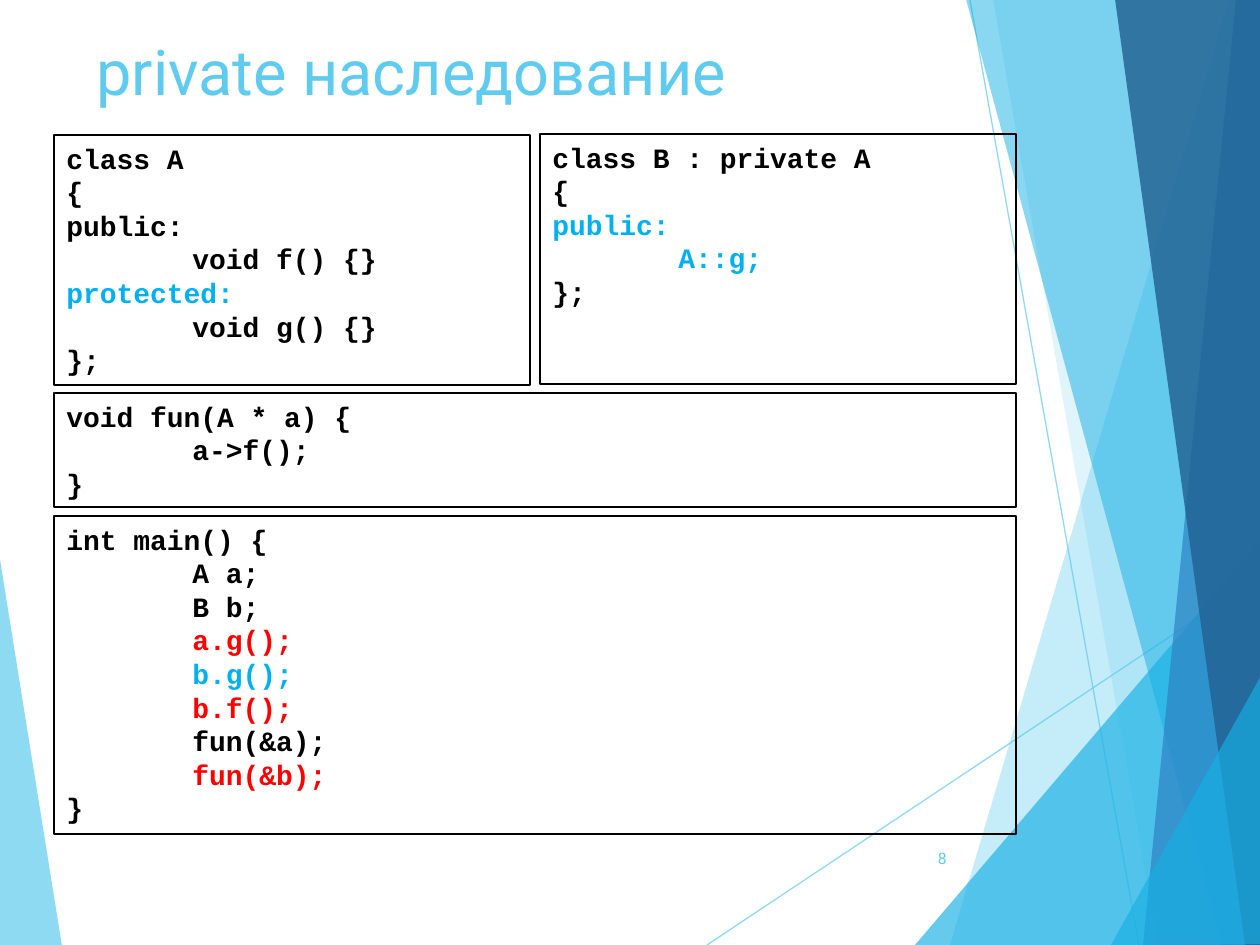
from lxml.etree import SubElement
from pptx import Presentation
from pptx.dml.color import RGBColor
from pptx.enum.shapes import MSO_CONNECTOR, MSO_SHAPE
from pptx.enum.text import MSO_ANCHOR, MSO_AUTO_SIZE, PP_ALIGN
from pptx.oxml.ns import qn
from pptx.util import Pt

PX = 914400 / 126
WIDTH, HEIGHT = 1260, 945
TAB = 126

THEME = {
    "sky": "5FCBEF", "cyan": "17B0E4", "blue": "2E83C3", "navy": "226292",
    "code": "000000", "good": "00B0F0", "bad": "FF0000",
    "title_font": "Roboto", "code_font": "Courier New",
    "title_size": 36, "code_size": 16, "number_size": 9, "line": 0.75,
}

TITLE = ("private наследование", (84, 26, 874, 181))
SLIDE_NUMBER = ("8", (888, 833, 71, 50))

# Colour, opacity in percent, corner points
LEFT_FACET = ("sky", 70, [(-1, 553), (62, 946), (-1, 945)])
RAYS = [((707, 945), (1261, 576)), ((970, 0), (1139, 945))]
RIGHT_FACETS = [
    ("sky", 36, [(1229, 0), (950, 945), (1262, 946), (1261, 1)]),
    ("sky", 20, [(993, -1), (1158, 945), (1261, 945), (1261, -1)]),
    ("cyan", 66, [(915, 945), (1260, 541), (1261, 945)]),
    ("cyan", 50, [(966, -1), (1222, 945), (1261, 944), (1261, -1)]),
    ("blue", 70, [(1236, -1), (1143, 945), (1261, 945), (1260, -1)]),
    ("navy", 82, [(1115, -1), (1245, 945), (1262, 945), (1260, -1)]),
    ("cyan", 66, [(1111, 945), (1262, 674), (1262, 944)]),
]

# Box, then lines of code with their colours
LISTINGS = [
    ((54, 135, 476, 250), [
        ("class A", "code"), ("{", "code"), ("public:", "code"),
        ("\tvoid f() {}", "code"), ("protected:", "good"),
        ("\tvoid g() {}", "code"), ("};", "code")]),
    ((540, 134, 476, 250), [
        ("class B : private A", "code"), ("{", "code"), ("public:", "good"),
        ("\tA::g;", "good"), ("};", "code")]),
    ((54, 393, 962, 114), [
        ("void fun(A * a) {", "code"), ("\ta->f();", "code"), ("}", "code")]),
    ((54, 516, 962, 318), [
        ("int main() {", "code"), ("\tA a;", "code"), ("\tB b;", "code"),
        ("\ta.g();", "bad"), ("\tb.g();", "good"), ("\tb.f();", "bad"),
        ("\tfun(&a);", "code"), ("\tfun(&b);", "bad"), ("}", "code")]),
]


def emu(*lengths):
    return [round(length * PX) for length in lengths]


def color(name):
    return RGBColor.from_string(THEME[name])


def set_opacity(element, percent):
    for solid_color in element.iter(qn("a:srgbClr")):
        SubElement(solid_color, qn("a:alpha"), val=str(percent * 1000))


def add_run(paragraph, text, color_name, kind, size, bold=False):
    run = paragraph.add_run()
    run.text = text
    run.font.name = THEME[kind]
    run.font.size = Pt(THEME[size])
    run.font.bold = bold
    run.font.color.rgb = color(color_name)


def add_facet(slide, color_name, opacity, points):
    builder = slide.shapes.build_freeform(*points[0], scale=PX)
    builder.add_line_segments(points[1:], close=True)
    facet = builder.convert_to_shape()
    facet.shadow.inherit = False
    facet.fill.solid()
    facet.fill.fore_color.rgb = color(color_name)
    facet.line.fill.background()
    set_opacity(facet._element.spPr, opacity)


def add_ray(slide, start, end):
    ray = slide.shapes.add_connector(MSO_CONNECTOR.STRAIGHT, *emu(*start, *end))
    ray.line.color.rgb = color("sky")
    ray.line.width = Pt(THEME["line"])
    properties = ray._element.spPr
    set_opacity(properties, 70)
    SubElement(properties, qn("a:effectLst"))


def add_title(slide, text, box):
    title = slide.shapes.title
    title.left, title.top, title.width, title.height = emu(*box)
    frame = title.text_frame
    frame.auto_size = MSO_AUTO_SIZE.NONE
    frame.vertical_anchor = MSO_ANCHOR.TOP
    paragraph = frame.paragraphs[0]
    paragraph.alignment = PP_ALIGN.LEFT
    add_run(paragraph, text, "sky", "title_font", "title_size")
    # The title lies in front of the backdrop
    slide.shapes._spTree.append(title._element)


def add_slide_number(slide, text, box):
    frame = slide.shapes.add_textbox(*emu(*box)).text_frame
    frame.word_wrap = True
    frame.vertical_anchor = MSO_ANCHOR.MIDDLE
    paragraph = frame.paragraphs[0]
    paragraph.alignment = PP_ALIGN.RIGHT
    add_run(paragraph, text, "sky", "title_font", "number_size")


def add_listing(slide, box, lines):
    shape = slide.shapes.add_shape(MSO_SHAPE.RECTANGLE, *emu(*box))
    shape.shadow.inherit = False
    shape.fill.background()
    shape.line.color.rgb = color("code")
    shape.line.width = Pt(THEME["line"])
    frame = shape.text_frame
    frame.word_wrap = True
    frame.vertical_anchor = MSO_ANCHOR.TOP
    for index, (text, color_name) in enumerate(lines):
        paragraph = frame.add_paragraph() if index else frame.paragraphs[0]
        paragraph.alignment = PP_ALIGN.LEFT
        tabs = SubElement(paragraph._p.get_or_add_pPr(), qn("a:tabLst"))
        SubElement(tabs, qn("a:tab"), pos=str(*emu(TAB)), algn="l")
        add_run(paragraph, text, color_name, "code_font", "code_size", bold=True)


def main():
    presentation = Presentation()
    presentation.slide_width, presentation.slide_height = emu(WIDTH, HEIGHT)
    slide = presentation.slides.add_slide(presentation.slide_layouts[5])
    add_facet(slide, *LEFT_FACET)
    for start, end in RAYS:
        add_ray(slide, start, end)
    for facet in RIGHT_FACETS:
        add_facet(slide, *facet)
    add_title(slide, *TITLE)
    add_slide_number(slide, *SLIDE_NUMBER)
    for box, lines in LISTINGS:
        add_listing(slide, box, lines)
    presentation.save("out.pptx")


if __name__ == "__main__":
    main()
